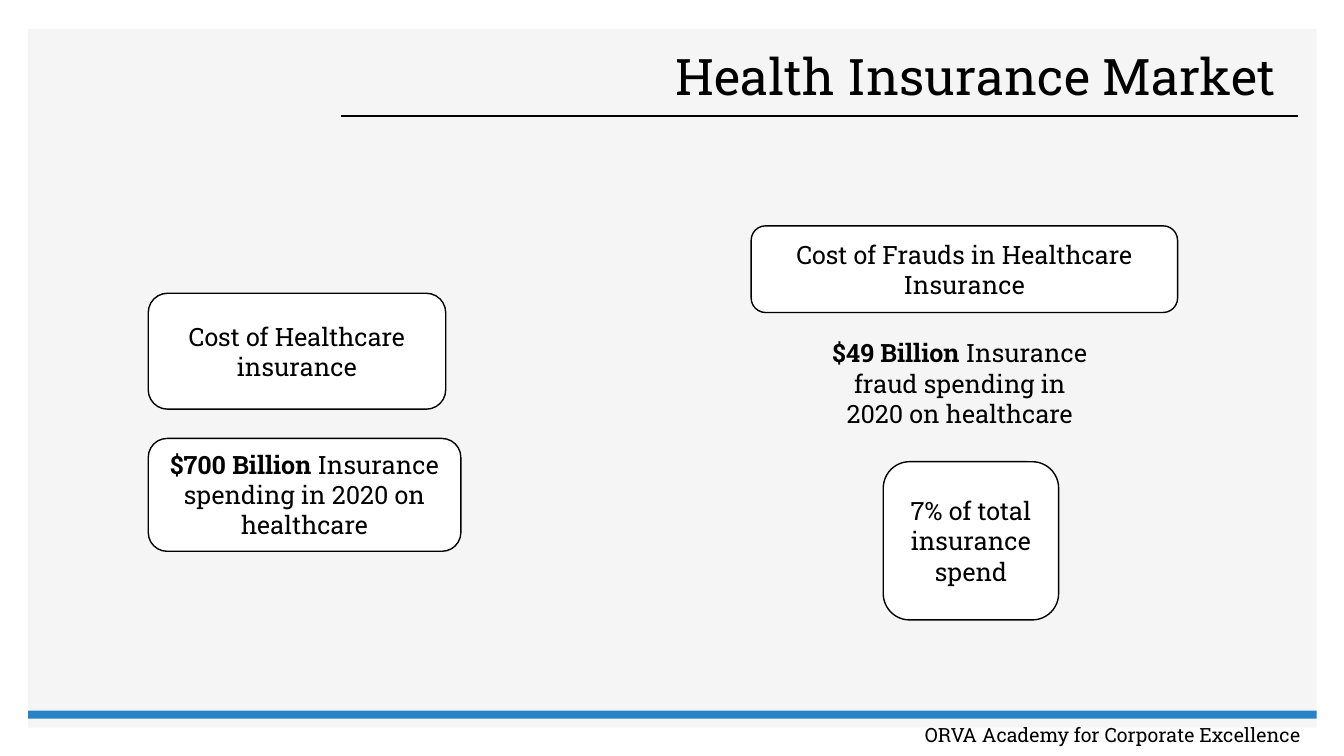
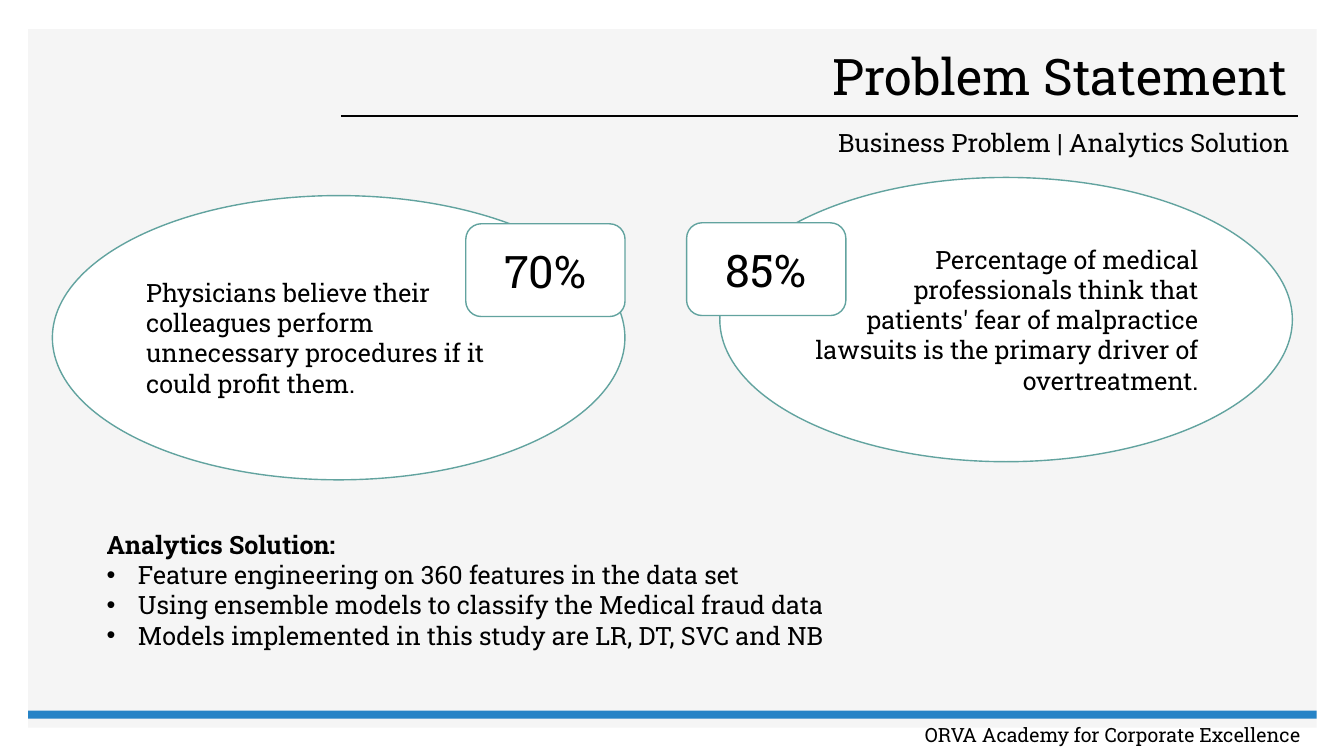
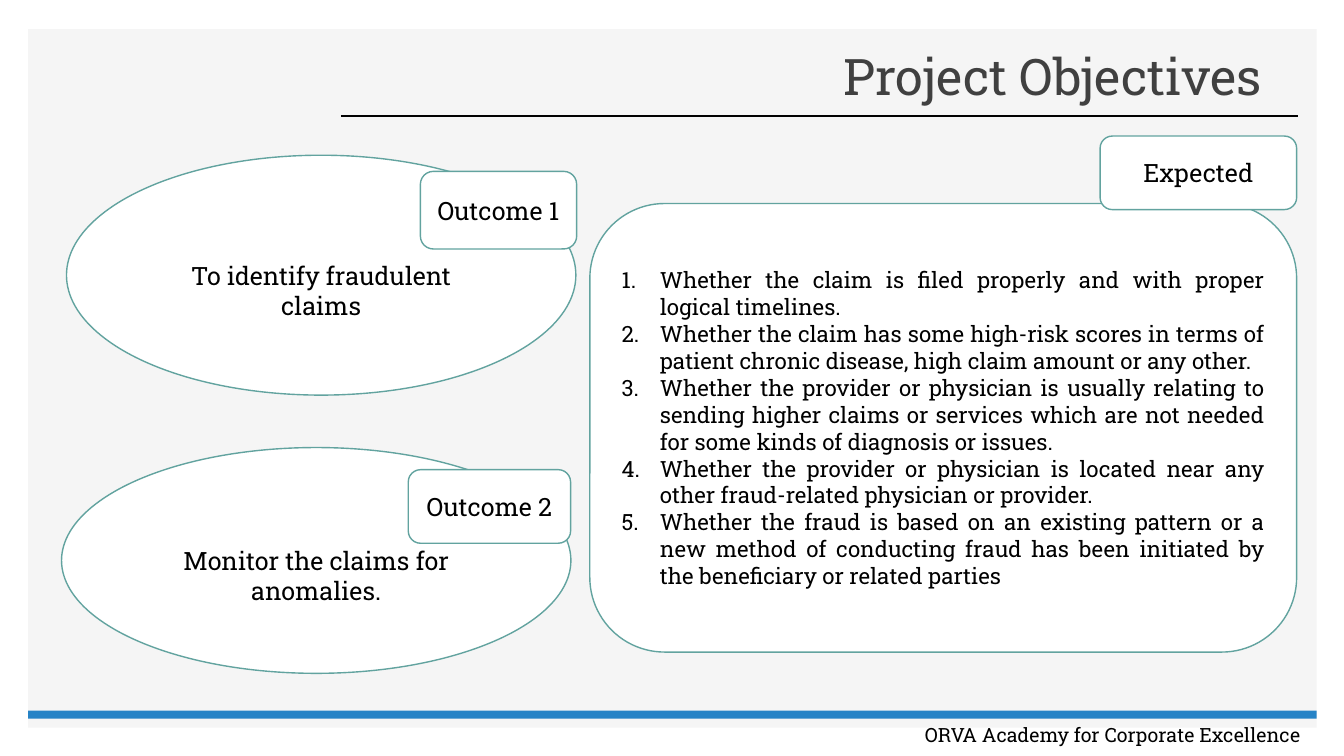
from dataclasses import dataclass

from lxml import etree
from pptx import Presentation
from pptx.dml.color import RGBColor
from pptx.enum.shapes import MSO_CONNECTOR, MSO_SHAPE
from pptx.enum.text import MSO_ANCHOR, PP_ALIGN
from pptx.oxml.ns import qn
from pptx.util import Inches, Pt

RECT, ROUND, OVAL = MSO_SHAPE.RECTANGLE, MSO_SHAPE.ROUNDED_RECTANGLE, MSO_SHAPE.OVAL
LEFT, MID, RIGHT, FULL = PP_ALIGN.LEFT, PP_ALIGN.CENTER, PP_ALIGN.RIGHT, PP_ALIGN.JUSTIFY
TOP, CORE = MSO_ANCHOR.TOP, MSO_ANCHOR.MIDDLE


@dataclass(frozen=True)
class Theme:
    font: str = "Roboto Slab"
    ink: str = "000000"
    grey: str = "404040"
    white: str = "FFFFFF"
    pale: str = "F5F5F5"
    blue: str = "2683C6"
    teal: str = "62A39F"
    head: int = 36
    big: int = 32
    body: int = 18
    list: int = 16
    foot: int = 14


T = Theme()
WIDE, HIGH = 13.33, 7.5

# Boxes are left, top, width, height in percent of the slide
PANEL = (2.1, 3.87, 95.87, 92.4)
BAND = (2.1, 94, 95.87, 1.07)
RULE = (25.36, 15.33, 96.55)
HEAD = (27.76, 5.6, 68.8, 9.73)
FOOT = (58.66, 94.93, 38.86, 4.53)
OWNER = "ORVA Academy for Corporate Excellence"

# Titles: text, colour, right inset in inches
TITLES = [
    ("Health Insurance Market", T.ink, 0.22),
    ("Problem Statement", T.ink, 0.1),
    ("Project Objectives", T.grey, 0.35),
]

# Market cards: box, bold lead, text, framed, anchor
CARDS = [
    ((11.03, 38.8, 22.13, 15.33), "", "Cost of Healthcare insurance", True, CORE),
    ((55.89, 29.87, 31.73, 11.47), "", "Cost of Frauds in Healthcare Insurance", True, CORE),
    ((11.03, 58, 23.26, 14.93), "$700 Billion ", "Insurance spending in 2020 on healthcare", True, TOP),
    ((60.92, 44, 21, 13.47), "$49 Billion ", "Insurance fraud spending in 2020 on healthcare", False, TOP),
    ((65.72, 61.07, 13.05, 20.93), "", "7% of total insurance spend", True, CORE),
]

# Bubbles: box, text, alignment, top inset, tag box, tag text, tag size
SURVEY = [
    ((3.9, 25.87, 42.6, 37.6),
     "Physicians believe their colleagues perform unnecessary procedures if it could profit them.",
     LEFT, 0.05, (34.66, 29.6, 11.85, 12.27), "70%", T.big),
    ((53.56, 23.47, 42.6, 37.6),
     "Percentage of medical professionals think that patients' fear of malpractice lawsuits "
     "is the primary driver of overtreatment.",
     RIGHT, 0.05, (51.09, 29.47, 11.85, 12.27), "85%", T.big),
]
GOALS = [
    ((4.95, 20.53, 37.9, 31.73), "To identify fraudulent claims",
     MID, 0.35, (31.28, 22.67, 11.63, 10.27), "Outcome 1", T.body),
    ((4.58, 59.2, 37.9, 29.87), "Monitor the claims for anomalies.",
     MID, 0.35, (30.38, 62.13, 12.08, 9.73), "Outcome 2", T.body),
]

TOPIC = ((61.29, 16.13, 35.41, 5.33), "Business Problem | Analytics Solution")
PLAN = (7.2, 69.33, 85.67, 21.6)
PLAN_HEAD = "Analytics Solution:"
STEPS = [
    "Feature engineering on 360 features in the data set",
    "Using ensemble models to classify the Medical fraud data",
    "Models implemented in this study are LR, DT, SVC and NB",
]

CHECK = (43.89, 26.93, 52.59, 59.33)
CHECK_TAG = ((81.85, 18, 14.63, 9.73), "Expected")
CHECKS = [
    "Whether the claim is filed properly and with proper logical timelines.",
    "Whether the claim has some high-risk scores in terms of patient chronic disease, "
    "high claim amount or any other.",
    "Whether the provider or physician is usually relating to sending higher claims or "
    "services which are not needed for some kinds of diagnosis or issues.",
    "Whether the provider or physician is located near any other fraud-related "
    "physician or provider.",
    "Whether the fraud is based on an existing pattern or a new method of conducting "
    "fraud has been initiated by the beneficiary or related parties",
]


def across(share):
    return Inches(WIDE * share / 100)


def down(share):
    return Inches(HIGH * share / 100)


def place(box):
    x, y, w, h = box
    return across(x), down(y), across(w), down(h)


def shape(parts, kind, box, fill=T.white, line=None):
    item = parts.add_shape(kind, *place(box))
    item.shadow.inherit = False
    item.fill.solid()
    item.fill.fore_color.rgb = RGBColor.from_string(fill)
    if line:
        item.line.color.rgb = RGBColor.from_string(line)
        item.line.width = Pt(1)
    else:
        item.line.fill.background()
    return item


def label(parts, box):
    return parts.add_textbox(*place(box))


def mark(para, bullet):
    """Give a paragraph a hanging dot or number."""
    props = para._p.get_or_add_pPr()
    hang = Inches(0.31 if bullet == "dot" else 0.38)
    props.set("marL", str(hang))
    props.set("indent", str(-hang))
    if bullet == "dot":
        etree.SubElement(props, qn("a:buFont")).set("typeface", "Arial")
        etree.SubElement(props, qn("a:buChar")).set("char", "•")
    else:
        etree.SubElement(props, qn("a:buAutoNum")).set("type", "arabicPeriod")


def write(item, paras, size=T.body, align=MID, anchor=CORE, color=T.ink,
          top=0.05, right=0.1, space=None):
    """Fill a shape; each paragraph is (bullet, [(text, bold), ...])."""
    frame = item.text_frame
    frame.word_wrap = True
    frame.vertical_anchor = anchor
    frame.margin_top, frame.margin_right = Inches(top), Inches(right)
    for n, (bullet, runs) in enumerate(paras):
        para = frame.add_paragraph() if n else frame.paragraphs[0]
        para.alignment = align
        if space:
            para.line_spacing = space
        if bullet:
            mark(para, bullet)
        for text, bold in runs:
            run = para.add_run()
            run.text = text
            run.font.name, run.font.size, run.font.bold = T.font, Pt(size), bold
            run.font.color.rgb = RGBColor.from_string(color)


def plain(text, bullet=None):
    return bullet, [(text, False)]


def start(deck, title):
    """Add a slide with the shared panel, rule, band, footer and title."""
    parts = deck.slides.add_slide(deck.slide_layouts[6]).shapes
    shape(parts, RECT, PANEL, T.pale)
    x1, y, x2 = RULE
    rule = parts.add_connector(MSO_CONNECTOR.STRAIGHT, across(x1), down(y), across(x2), down(y))
    rule.line.color.rgb = RGBColor.from_string(T.ink)
    rule.line.width = Pt(1)
    etree.SubElement(rule._element.spPr, qn("a:effectLst"))
    shape(parts, RECT, BAND, T.blue)
    write(label(parts, FOOT), [plain(OWNER)], T.foot, RIGHT, TOP)
    text, color, right = title
    write(label(parts, HEAD), [plain(text)], T.head, RIGHT, color=color, right=right, space=0.9)
    return parts


def tag(parts, box, text, size=T.body):
    write(shape(parts, ROUND, box, line=T.teal), [plain(text)], size)


def bubbles(parts, rows):
    for box, text, align, top, spot, name, size in rows:
        group = parts.add_group_shape().shapes
        write(shape(group, OVAL, box, line=T.teal), [plain(text)], align=align, top=top)
        tag(group, spot, name, size)


def market(parts):
    for box, lead, text, framed, anchor in CARDS:
        item = shape(parts, ROUND, box, line=T.ink) if framed else label(parts, box)
        runs = [(lead, True)] if lead else []
        write(item, [(None, runs + [(text, False)])], anchor=anchor)


def problem(parts):
    box, text = TOPIC
    write(label(parts, box), [plain(text)], align=RIGHT, anchor=TOP)
    bubbles(parts, SURVEY)
    paras = [(None, [(PLAN_HEAD, True)])] + [plain(s, "dot") for s in STEPS]
    write(label(parts, PLAN), paras, align=LEFT, anchor=TOP)


def goals(parts):
    bubbles(parts, GOALS)
    group = parts.add_group_shape().shapes
    write(shape(group, ROUND, CHECK, line=T.teal), [plain(c, "number") for c in CHECKS],
          T.list, FULL)
    tag(group, *CHECK_TAG)


def main():
    deck = Presentation()
    deck.slide_width, deck.slide_height = Inches(WIDE), Inches(HIGH)
    for title, fill in zip(TITLES, (market, problem, goals)):
        fill(start(deck, title))
    deck.save("out.pptx")


if __name__ == "__main__":
    main()
